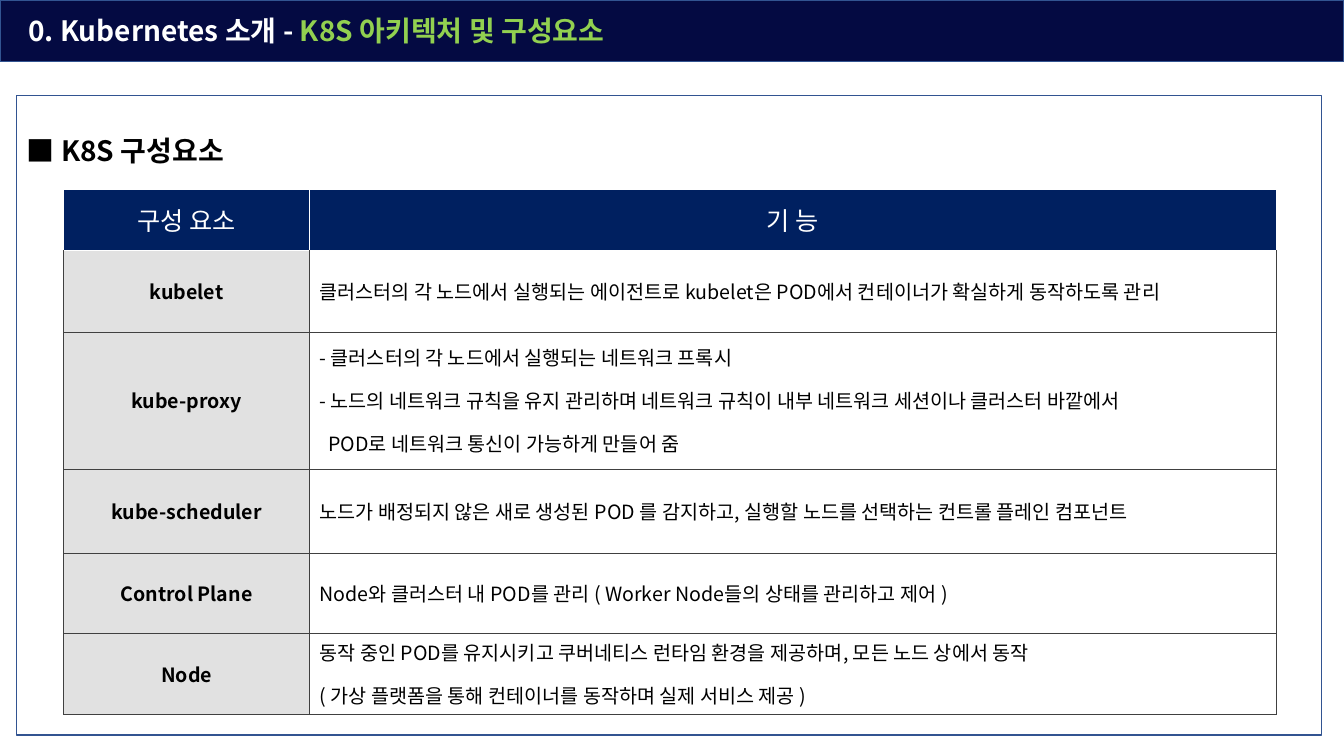
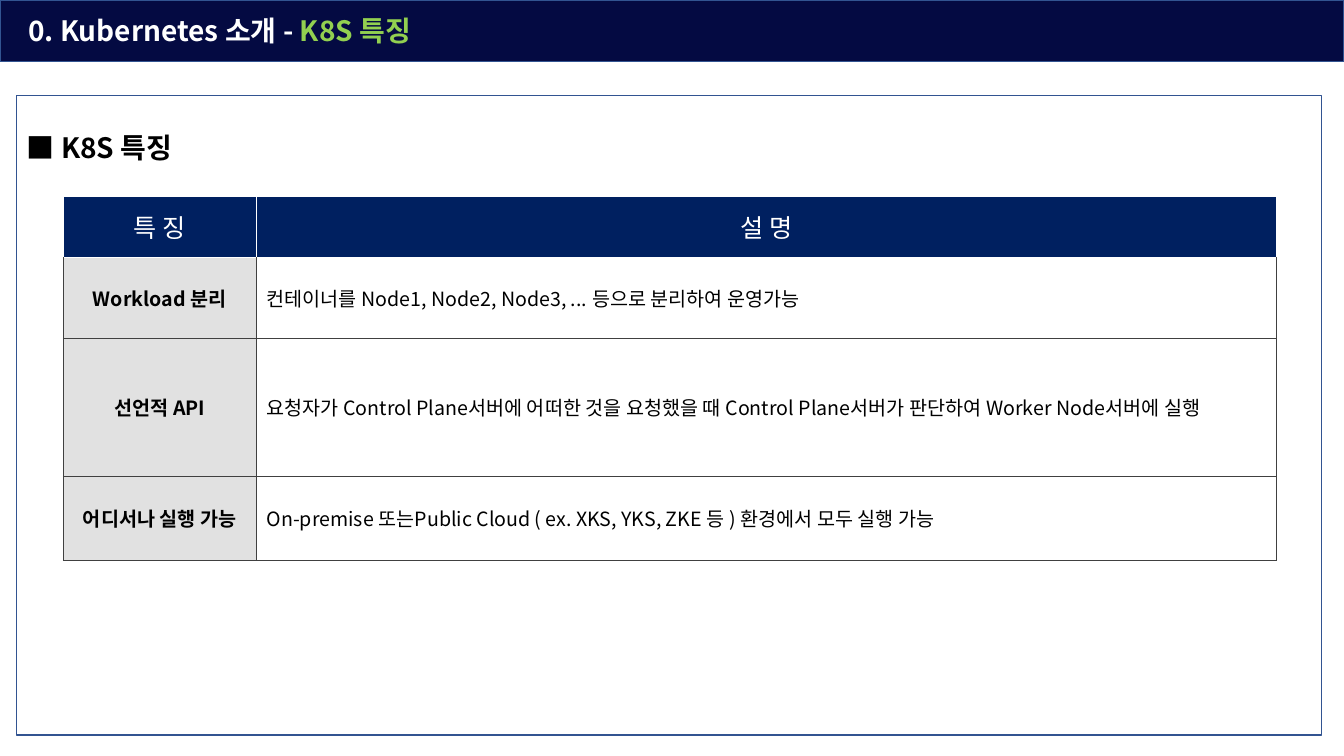
from dataclasses import dataclass
from typing import Any

from lxml.etree import SubElement
from pptx import Presentation
from pptx.dml.color import RGBColor
from pptx.enum.shapes import MSO_SHAPE as Shape
from pptx.enum.text import MSO_ANCHOR as Anchor, MSO_AUTO_SIZE as Fit, PP_ALIGN as Align
from pptx.oxml import parse_xml
from pptx.oxml.ns import nsdecls, qn
from pptx.util import Pt

FACE = "Noto Sans CJK KR"
NAVY, BAND, BLUE = "002060", "040A42", "325491"
GREEN, WHITE, BLACK = "92D050", "FFFFFF", "000000"
GREY, RULE = "E1E1E1", "404040"
WIDE, HIGH = 960, 540


@dataclass(frozen=True)
class Style:
    size: float
    tint: str
    bold: bool = False


@dataclass(frozen=True)
class Line:
    text: str
    space: float | None = None
    indent: float = 0


@dataclass(frozen=True)
class Row:
    high: float
    name: str
    lines: tuple[Line, ...]


@dataclass(frozen=True)
class Page:
    topic: str
    head: str
    drop: float
    left: float
    top: float
    cols: tuple[float, float]
    heads: tuple[str, str]
    rows: tuple[Row, ...]


LEAD = Style(20, WHITE, True)
TOPIC = Style(20, GREEN, True)
HEAD = Style(20, BLACK, True)
LABEL = Style(18, WHITE)
NAME = Style(14, BLACK, True)
BODY = Style(14, BLACK)

PAGES = (
    Page(
        "K8S 아키텍처 및 구성요소", "■ K8S 구성요소", 26.7, 45.4, 135.4,
        (175.7, 690.5), ("구성 요소", "기 능"),
        (
            Row(58.3, "kubelet", (
                Line("클러스터의 각 노드에서 실행되는 에이전트로 kubelet은 POD에서 "
                     "컨테이너가 확실하게 동작하도록 관리"),)),
            Row(97.9, "kube-proxy", (
                Line("- 클러스터의 각 노드에서 실행되는 네트워크 프록시"),
                Line("- 노드의 네트워크 규칙을 유지 관리하며 네트워크 규칙이 "
                     "내부 네트워크 세션이나 클러스터 바깥에서", 1.5),
                Line("POD로 네트워크 통신이 가능하게 만들어 줌", 1.5, 6))),
            Row(60.5, "kube-scheduler", (
                Line("노드가 배정되지 않은 새로 생성된 POD 를 감지하고, "
                     "실행할 노드를 선택하는 컨트롤 플레인 컴포넌트"),)),
            Row(56.9, "Control Plane", (
                Line("Node와 클러스터 내 POD를 관리 "
                     "( Worker Node들의 상태를 관리하고 제어 )"),)),
            Row(58.3, "Node", (
                Line("동작 중인 POD를 유지시키고 쿠버네티스 런타임 환경을 "
                     "제공하며, 모든 노드 상에서 동작"),
                Line("( 가상 플랫폼을 통해 컨테이너를 동작하며 실제 서비스 제공 )", 1.5))),
        ),
    ),
    Page(
        "K8S 특징", "■ K8S 특징", 24.6, 45, 140.4,
        (138.2, 728.6), ("특 징", "설 명"),
        (
            Row(58.3, "Workload 분리", (
                Line("컨테이너를 Node1, Node2, Node3, ... 등으로 분리하여 운영가능"),)),
            Row(97.9, "선언적 API", (
                Line("요청자가 Control Plane서버에 어떠한 것을 요청했을 때 "
                     "Control Plane서버가 판단하여 Worker Node서버에 실행"),)),
            Row(60.5, "어디서나 실행 가능", (
                Line("On-premise 또는Public Cloud ( ex. XKS, YKS, ZKE 등 ) "
                     "환경에서 모두 실행 가능"),)),
        ),
    ),
)


def rgb(tint: str) -> RGBColor:
    return RGBColor.from_string(tint)


def apply(item: Any, values: dict[str, Any]) -> None:
    for key, value in values.items():
        setattr(item, key, value)


def write(para: Any, text: str, style: Style) -> None:
    run = para.add_run()
    run.text = text
    apply(run.font, {"name": FACE, "size": Pt(style.size), "bold": style.bold})
    run.font.color.rgb = rgb(style.tint)
    SubElement(run.font._element, qn("a:ea")).set("typeface", FACE)


def place(item: Any, left: float, top: float, width: float, height: float) -> None:
    apply(item, {"left": Pt(left), "top": Pt(top), "width": Pt(width), "height": Pt(height)})


def edge(item: Any) -> None:
    item.line.color.rgb = rgb(BLUE)
    item.line.width = Pt(1)


def title(slide: Any, topic: str) -> None:
    band = slide.shapes.title
    place(band, 0, 0, WIDE, 44)
    band.fill.solid()
    band.fill.fore_color.rgb = rgb(BAND)
    edge(band)
    frame = band.text_frame
    apply(frame, {"word_wrap": True, "auto_size": Fit.NONE,
                  "vertical_anchor": Anchor.MIDDLE, "margin_left": Pt(20)})
    para = frame.paragraphs[0]
    para.alignment = Align.LEFT
    write(para, "0. Kubernetes 소개 - ", LEAD)
    write(para, topic, TOPIC)


def panel(slide: Any, head: str, drop: float) -> None:
    box = slide.shapes.add_shape(Shape.RECTANGLE, 0, 0, 0, 0)
    place(box, 12, 68.4, 932, 456.6)
    box.shadow.inherit = False
    box.fill.background()
    edge(box)
    apply(box.text_frame, {"word_wrap": True, "vertical_anchor": Anchor.TOP,
                           "margin_top": Pt(drop)})
    para = box.text_frame.paragraphs[0]
    para.alignment = Align.LEFT
    write(para, head, HEAD)


def border(cell: Any, tints: dict[str, str]) -> None:
    props = cell._tc.get_or_add_tcPr()
    for spot, (side, tint) in enumerate(tints.items()):
        props.insert(spot, parse_xml(
            f'<a:ln{side} {nsdecls("a")} w="{Pt(0.25)}"><a:solidFill>'
            f'<a:srgbClr val="{rgb(tint)}"/></a:solidFill></a:ln{side}>'))


def fill(cell: Any, lines: tuple[Line, ...], style: Style, back: str,
         align: Align, tints: dict[str, str]) -> None:
    cell.fill.solid()
    cell.fill.fore_color.rgb = rgb(back)
    cell.vertical_anchor = Anchor.MIDDLE
    border(cell, tints)
    frame = cell.text_frame
    for spot, line in enumerate(lines):
        para = frame.add_paragraph() if spot else frame.paragraphs[0]
        apply(para, {"alignment": align, "line_spacing": line.space})
        if line.indent:
            para._p.get_or_add_pPr().set("marL", str(Pt(line.indent)))
        write(para, line.text, style)


def grid(slide: Any, page: Page) -> None:
    highs = [43.2, *(row.high for row in page.rows)]
    table = slide.shapes.add_table(
        len(highs), len(page.cols), Pt(page.left), Pt(page.top),
        Pt(sum(page.cols)), Pt(sum(highs))).table
    table.horz_banding = False
    for col, width in zip(table.columns, page.cols):
        col.width = Pt(width)
    for row, high in zip(table.rows, highs):
        row.height = Pt(high)
    white = dict.fromkeys("LRTB", WHITE)
    dark = dict.fromkeys("LRTB", RULE)
    for col, text in enumerate(page.heads):
        fill(table.cell(0, col), (Line(text),), LABEL, NAVY, Align.CENTER, white)
    for spot, row in enumerate(page.rows, 1):
        tints = dark | {"T": WHITE} if spot == 1 else dark
        fill(table.cell(spot, 0), (Line(row.name),), NAME, GREY, Align.CENTER, tints)
        fill(table.cell(spot, 1), row.lines, BODY, WHITE, Align.LEFT, tints)


deck = Presentation()
apply(deck, {"slide_width": Pt(WIDE), "slide_height": Pt(HIGH)})
for page in PAGES:
    slide = deck.slides.add_slide(deck.slide_layouts[5])
    title(slide, page.topic)
    panel(slide, page.head, page.drop)
    grid(slide, page)
deck.save("out.pptx")
